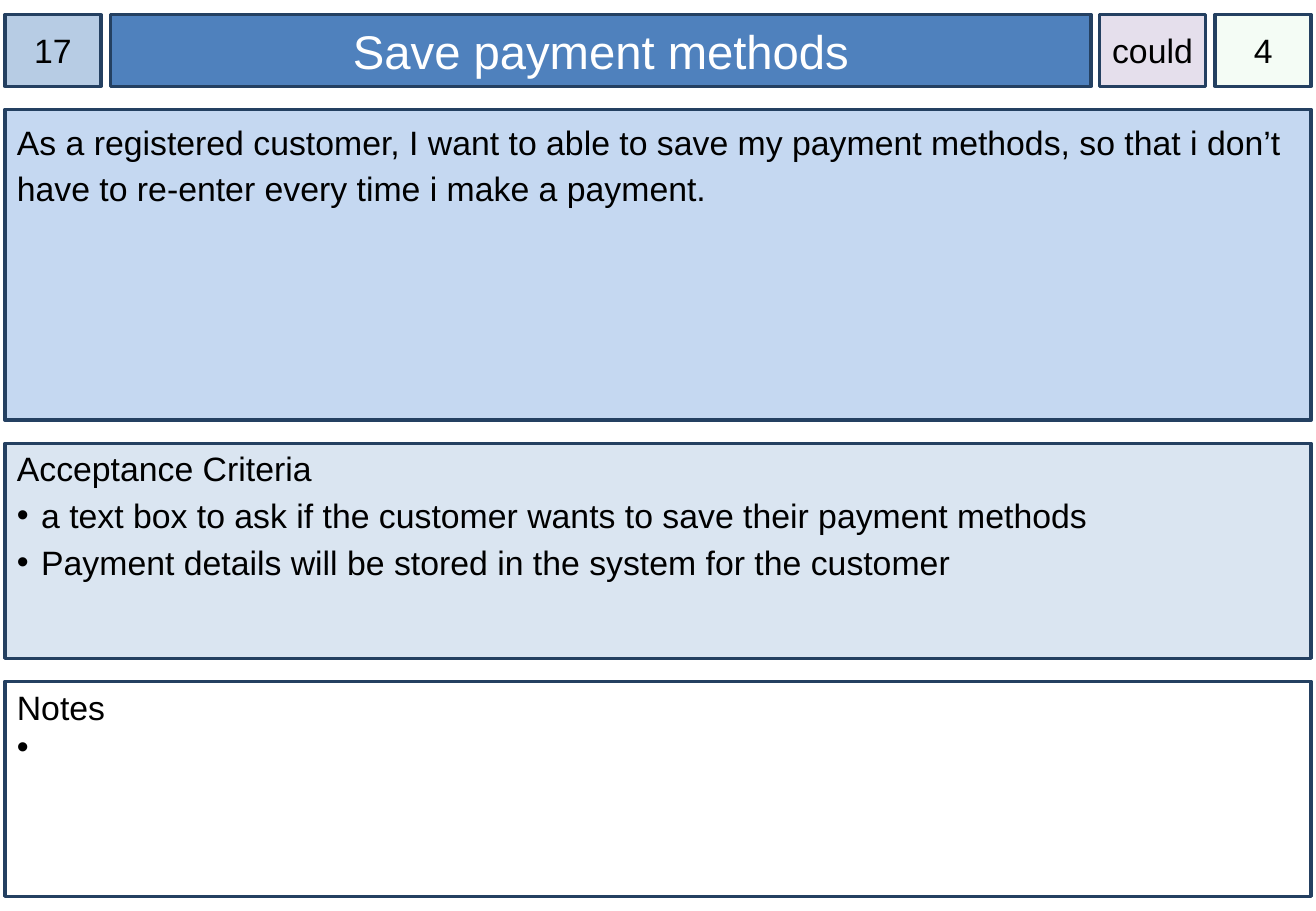
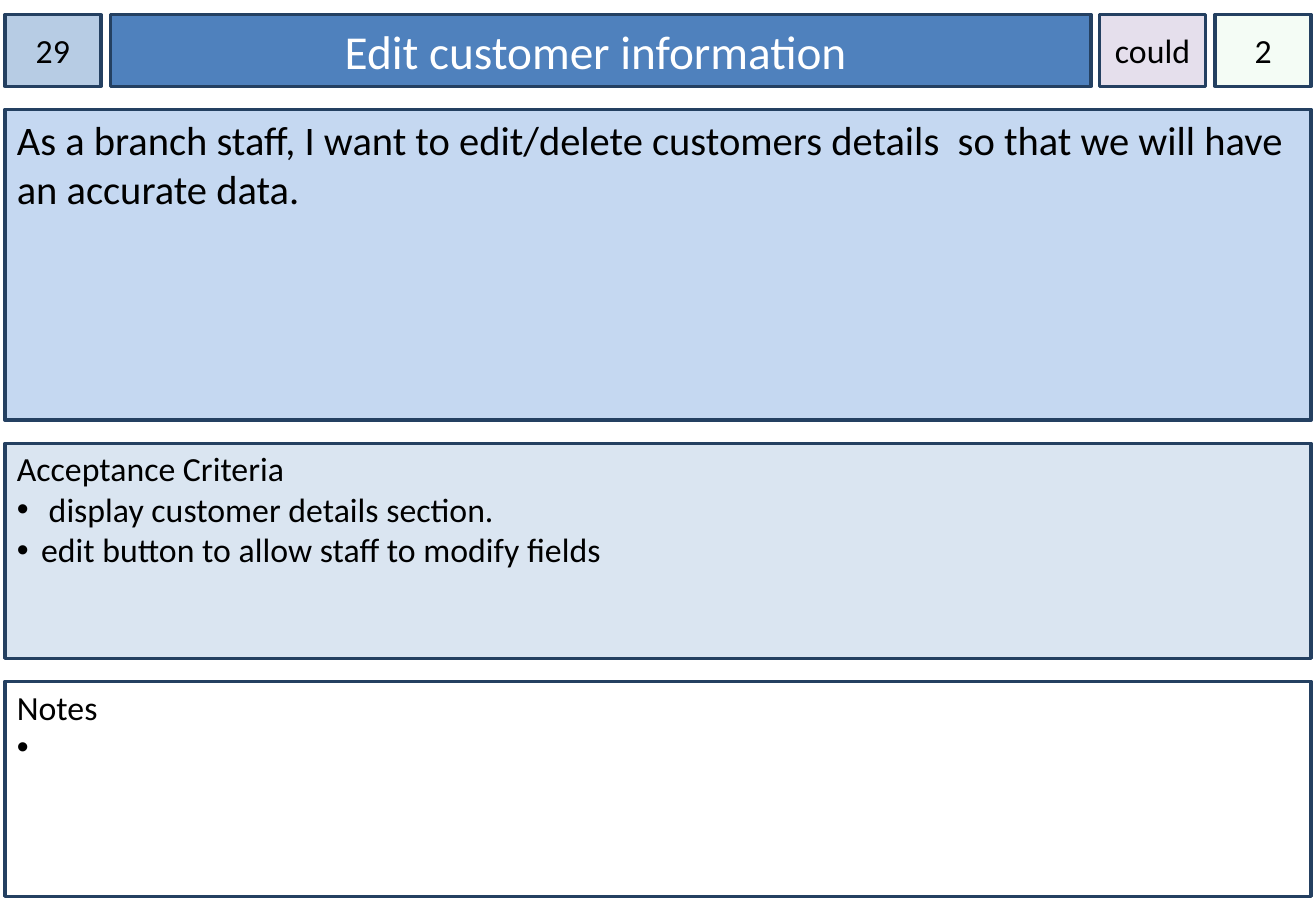
import pptx
import pptx.util
import pptx.dml.color
import pptx.enum.shapes
import pptx.enum.text
import pptx.oxml.ns
from lxml import etree

# Shared page measures, in inches
PAGE_WIDTH, PAGE_HEIGHT = 10.83, 7.5
LEFT, TOP, WIDTH = 0.04, 0.12, 10.75
ROW_GAP = 0.19
ROW_HEIGHTS = (0.59, 2.56, 1.77, 1.77)
HEADER_WIDTHS = (0.79, 8.07, 0.87, 0.79)

# Shared colours
BORDER, INK, WHITE = "244061", "000000", "FFFFFF"
NUMBER_FILL, TITLE_FILL = "B7CCE4", "4F81BD"
PRIORITY_FILL, ESTIMATE_FILL = "E5DFEC", "CCF0CD"
STORY_FILL, CRITERIA_FILL = "C5D8F1", "DAE5F1"

BULLET_INDENT = 0.2

CARDS = [
    {
        "number": "17", "title": "Save payment methods",
        "priority": "could", "estimate": "4",
        "font": "Arial", "story_size": 20, "spacing": 1.15,
        "story": "As a registered customer, I want to able to save my payment methods, "
                 "so that i don’t have to re-enter every time i make a payment.",
        "criteria": [
            "a text box to ask if the customer wants to save their payment methods",
            "Payment details will be stored in the system for the customer",
        ],
    },
    {
        "number": "29", "title": "Edit customer information ",
        "priority": "could", "estimate": "2",
        "font": "Calibri", "story_size": 24, "spacing": None,
        "story": "As a branch staff, I want to edit/delete customers details  "
                 "so that we will have an accurate data.",
        "criteria": [
            " display customer details section.",
            "edit button to allow staff to modify fields",
        ],
    },
]


def color(value):
    return pptx.dml.color.RGBColor.from_string(value)


def inches(value):
    return pptx.util.Inches(round(value, 2))


def stack(start, sizes, gap):
    """Return the start of each part laid one after another."""
    return [start + sum(sizes[:i]) + gap * i for i in range(len(sizes))]


def add_panel(page, area, fill, alpha=None, side=0.1, top=0.05, middle=False):
    """Add a bordered rectangle at area (left, top, width, height)."""
    box = page.shapes.add_shape(
        pptx.enum.shapes.MSO_SHAPE.RECTANGLE, *map(inches, area))
    box.shadow.inherit = False
    box.fill.solid()
    box.fill.fore_color.rgb = color(fill)
    if alpha is not None:
        tint = box.fill._xPr.find(".//" + pptx.oxml.ns.qn("a:srgbClr"))
        etree.SubElement(tint, pptx.oxml.ns.qn("a:alpha"), val=str(alpha * 1000))
    box.line.color.rgb = color(BORDER)
    box.line.width = pptx.util.Pt(2)
    frame = box.text_frame
    frame.word_wrap = True
    frame.margin_left = frame.margin_right = inches(side)
    frame.margin_top, frame.margin_bottom = inches(top), inches(0.05)
    anchor = pptx.enum.text.MSO_ANCHOR
    frame.vertical_anchor = anchor.MIDDLE if middle else anchor.TOP
    return box


def add_bullet(para):
    properties = para._p.get_or_add_pPr()
    indent = inches(BULLET_INDENT)
    properties.set("marL", str(indent))
    properties.set("indent", str(-indent))
    tint = etree.SubElement(properties, pptx.oxml.ns.qn("a:buClr"))
    etree.SubElement(tint, pptx.oxml.ns.qn("a:srgbClr"), val=INK)
    etree.SubElement(properties, pptx.oxml.ns.qn("a:buFont"), typeface="Arial")
    etree.SubElement(properties, pptx.oxml.ns.qn("a:buChar"), char="•")


def write(box, text, font, size=20, ink=INK, centered=False, bullet=False, spacing=None):
    """Write one paragraph, after any text already in the box."""
    frame = box.text_frame
    para = frame.add_paragraph() if frame.text else frame.paragraphs[0]
    if bullet:
        add_bullet(para)
    align = pptx.enum.text.PP_ALIGN
    para.alignment = align.CENTER if centered else align.LEFT
    if spacing:
        para.line_spacing = spacing
    span = para.add_run()
    span.text = text
    span.font.name = font
    span.font.size = pptx.util.Pt(size)
    span.font.color.rgb = color(ink)


def add_header(page, area, card):
    """Number, title, priority and estimate side by side."""
    left, top, width, height = area
    gap = (width - sum(HEADER_WIDTHS)) / (len(HEADER_WIDTHS) - 1)
    cells = [
        ("number", NUMBER_FILL, {}, {}),
        ("title", TITLE_FILL, {"side": 0.1}, {"size": 28, "ink": WHITE}),
        ("priority", PRIORITY_FILL, {}, {}),
        ("estimate", ESTIMATE_FILL, {"alpha": 20}, {}),
    ]
    starts = stack(left, HEADER_WIDTHS, gap)
    for start, cell_width, (key, fill, look, style) in zip(starts, HEADER_WIDTHS, cells):
        box = add_panel(page, (start, top, cell_width, height), fill,
                        middle=True, **{"side": 0, **look})
        write(box, card[key], card["font"], centered=True, **style)


def add_story(page, area, card):
    box = add_panel(page, area, STORY_FILL)
    write(box, card["story"], card["font"], size=card["story_size"],
          spacing=card["spacing"])


def add_list(page, area, fill, heading, items, font, spacing=None):
    """A heading with bulleted items below it."""
    box = add_panel(page, area, fill, top=0.04)
    write(box, heading, font)
    for item in items:
        write(box, item, font, bullet=True, spacing=spacing)


def add_card(deck, card):
    page = deck.slides.add_slide(deck.slide_layouts[6])
    tops = stack(TOP, ROW_HEIGHTS, ROW_GAP)
    header, story, criteria, notes = [
        (LEFT, top, WIDTH, height) for top, height in zip(tops, ROW_HEIGHTS)]
    add_header(page, header, card)
    add_story(page, story, card)
    add_list(page, criteria, CRITERIA_FILL, "Acceptance Criteria",
             card["criteria"], card["font"], card["spacing"])
    # The notes hold one open bullet to fill in
    add_list(page, notes, WHITE, "Notes", [" "], card["font"])


def main():
    deck = pptx.Presentation()
    deck.slide_width, deck.slide_height = inches(PAGE_WIDTH), inches(PAGE_HEIGHT)
    for card in CARDS:
        add_card(deck, card)
    deck.save("out.pptx")


if __name__ == "__main__":
    main()
